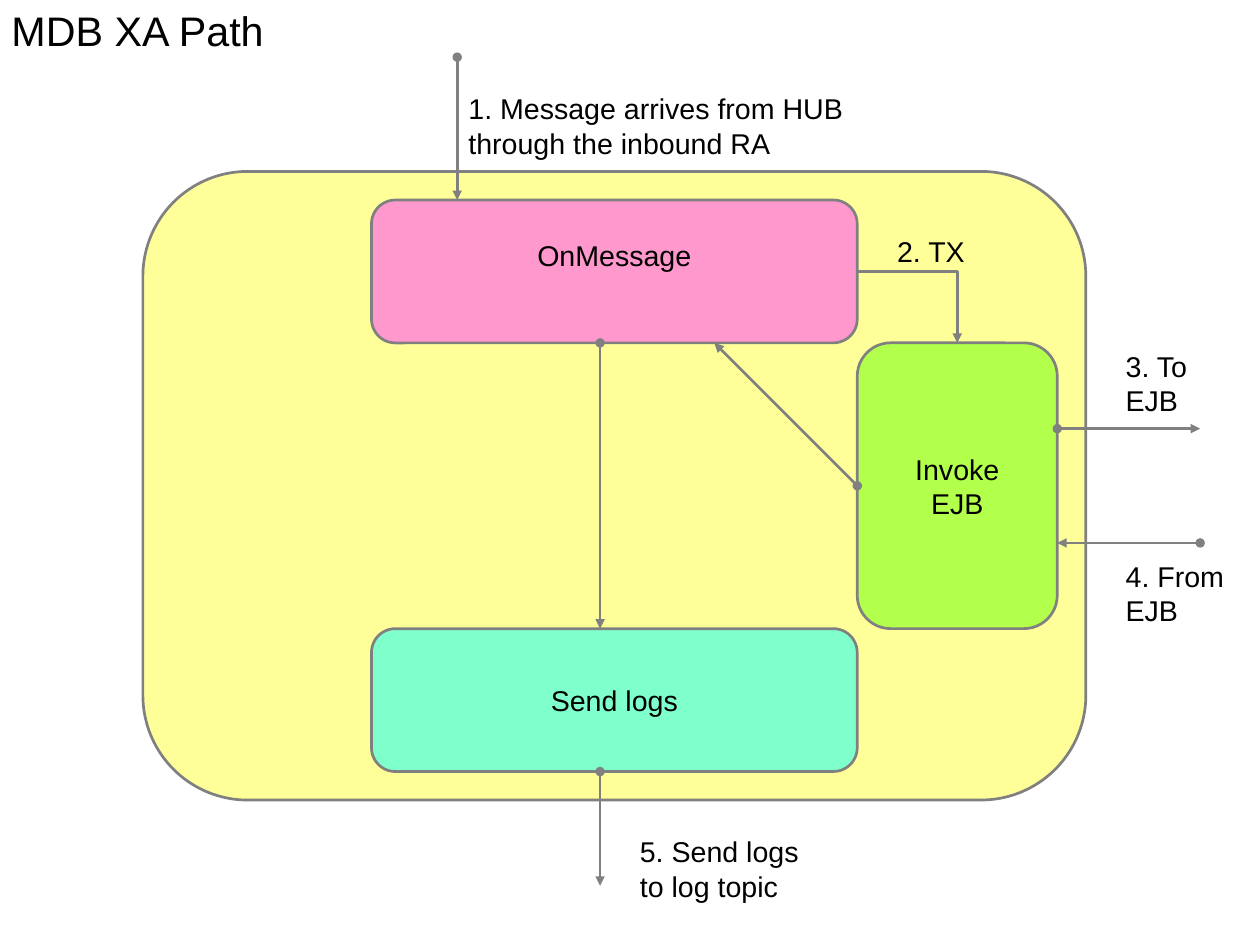
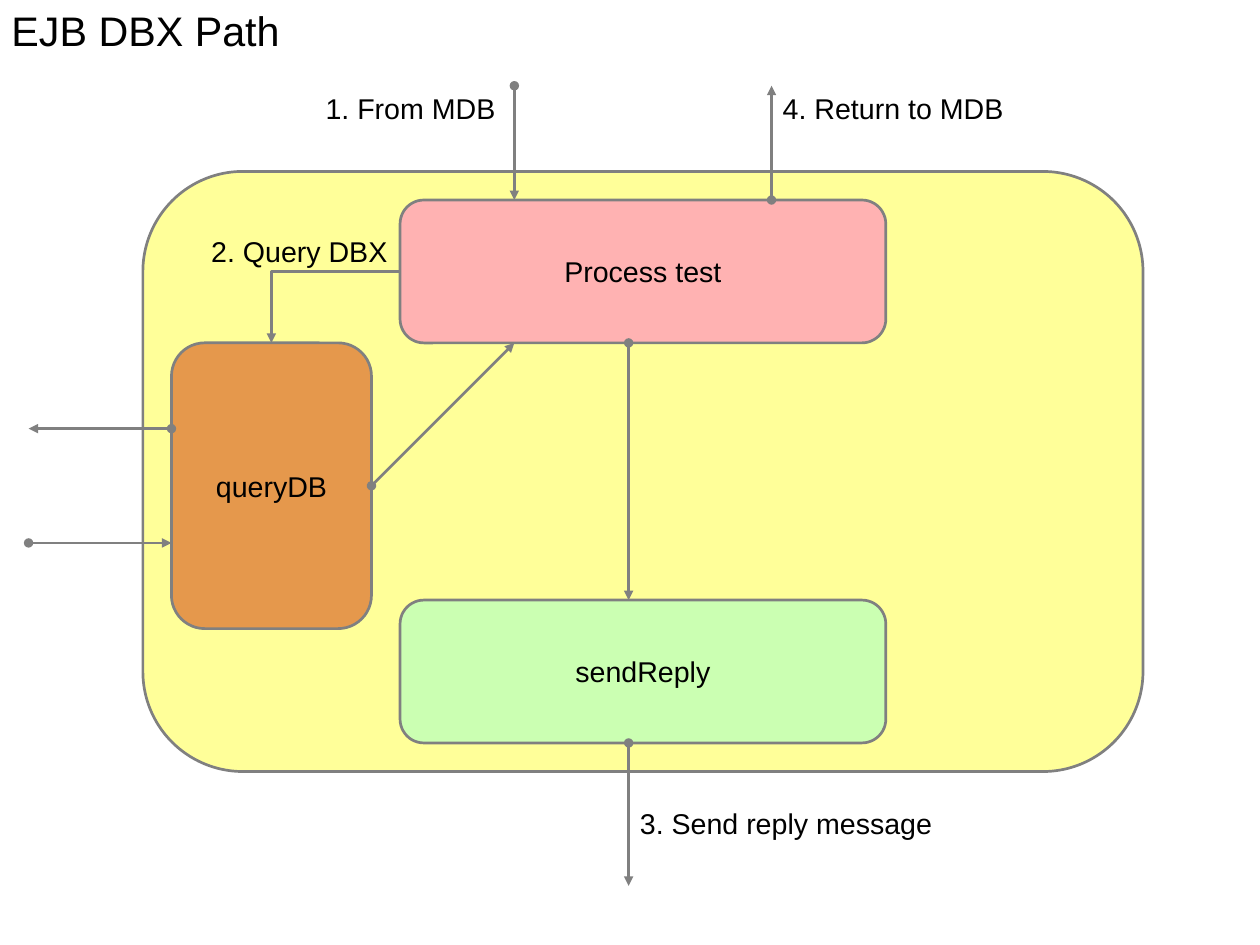
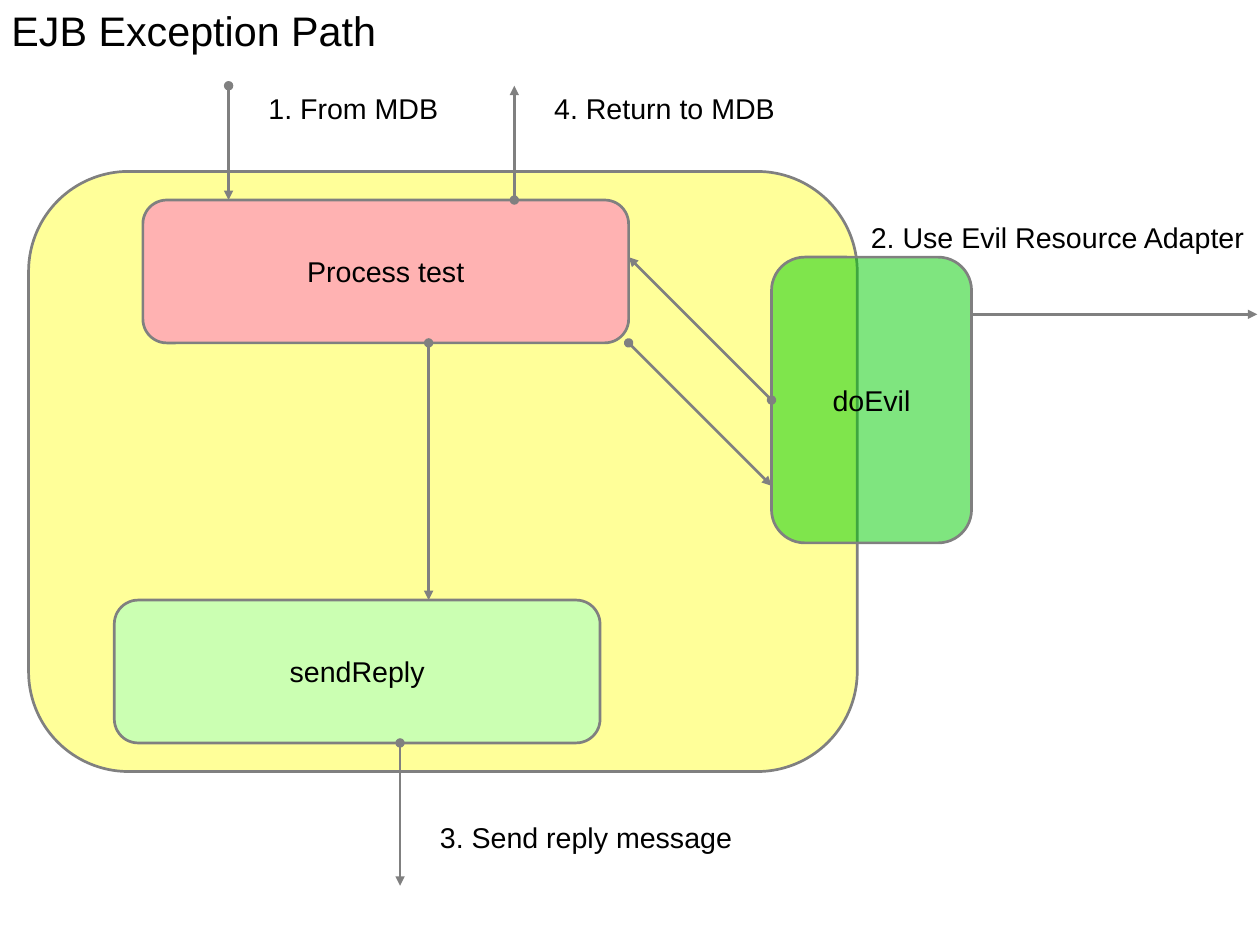
from lxml import etree
from pptx import Presentation
from pptx import util as u
from pptx.dml import color as c
from pptx.enum import shapes as s, text as t
from pptx.oxml import ns

Pt = u.Pt

# Shared look
FONT = "Arial"
BLACK, GREY, CREAM = "000000", "808080", "FFFF99"
PINK, LIME, AQUA = "FF33FF", "66FF00", "00FFFF"
ROSE, RUST, MINT, GREEN = "FF66CC", "CC3300", "99FFCC", "00CC00"
RULE = 1.7
WIDE, HIGH = 306, 90      # main step
SLIM, TALL = 126, 180     # side step
FRAME = dict(margin_left=Pt(7.2), margin_right=Pt(7.2), margin_top=Pt(3.6),
             margin_bottom=Pt(3.6), word_wrap=True)


def rgb(code):
    return c.RGBColor.from_string(code)


def put(obj, **vals):
    for key, val in vals.items():
        setattr(obj, key, val)


def write(frame, words, size, align, **extra):
    """Fill a text frame, one paragraph per line."""
    frame.text = words
    put(frame, **{**FRAME, **extra})
    for para in frame.paragraphs:
        para.alignment = align
        put(para.font, name=FONT, size=Pt(size), bold=False)
        para.font.color.rgb = rgb(BLACK)


def title(slide, words):
    head = slide.shapes.title
    put(head, left=Pt(0), top=Pt(0), width=Pt(252), height=Pt(36))
    write(head.text_frame, words, 26, t.PP_ALIGN.LEFT,
          vertical_anchor=t.MSO_ANCHOR.TOP, auto_size=t.MSO_AUTO_SIZE.NONE)


def box(slide, x, y, w, h, fill, words="", alpha=50, foot=3.6):
    """Rounded step with a see-through fill and centred words."""
    step = slide.shapes.add_shape(
        s.MSO_SHAPE.FLOWCHART_ALTERNATE_PROCESS, Pt(x), Pt(y), Pt(w), Pt(h))
    step.shadow.inherit = False
    step.fill.solid()
    step.fill.fore_color.rgb = rgb(fill)
    if alpha < 100:
        tint = next(step._element.spPr.iter(ns.qn("a:srgbClr")))
        etree.SubElement(tint, ns.qn("a:alpha"), val=str(alpha * 1000))
    step.line.color.rgb = rgb(GREY)
    step.line.width = Pt(RULE)
    if words:
        write(step.text_frame, words, 18, t.PP_ALIGN.CENTER,
              vertical_anchor=t.MSO_ANCHOR.MIDDLE, margin_bottom=Pt(foot))
    return step


def label(slide, x, y, w, words):
    lines = words.count("\n") + 1
    note = slide.shapes.add_textbox(Pt(x), Pt(y), Pt(w), Pt(7 + 20.3 * lines))
    write(note.text_frame, words, 18, t.PP_ALIGN.LEFT,
          auto_size=t.MSO_AUTO_SIZE.SHAPE_TO_FIT_TEXT)


def sides(step):
    """Middles of the sides: top, left, bottom, right."""
    x, y, w, h = step.left, step.top, step.width, step.height
    return [(x + w // 2, y), (x, y + h // 2),
            (x + w // 2, y + h), (x + w, y + h // 2)]


def arrow(slide, steps, x1, y1, x2, y2, head="oval", bent=False):
    """Arrow, joined to any step whose side middle it meets."""
    kind = s.MSO_CONNECTOR.ELBOW if bent else s.MSO_CONNECTOR.STRAIGHT
    ends = [Pt(v) for v in (x1, y1, x2, y2)]
    link = slide.shapes.add_connector(kind, *ends)
    props = link._element.spPr
    if bent:
        props.find(ns.qn("a:prstGeom")).set("prst", "bentConnector2")
    link.line.color.rgb = rgb(GREY)
    link.line.width = Pt(RULE)
    stroke = props.find(ns.qn("a:ln"))
    for tag, shape in (("a:headEnd", head), ("a:tailEnd", "triangle")):
        etree.SubElement(stroke, ns.qn(tag), type=shape)
    etree.SubElement(props, ns.qn("a:effectLst"))
    joins = ((tuple(ends[:2]), link.begin_connect),
             (tuple(ends[2:]), link.end_connect))
    for spot, join in joins:
        for step in steps:
            if spot in sides(step):
                join(step, sides(step).index(spot))


def draw(deck, name, panel, boxes, links, turns, notes):
    """One path slide: panel, steps, arrows and labels."""
    slide = deck.slides.add_slide(deck.slide_layouts[5])
    title(slide, name)
    box(slide, *panel, CREAM, alpha=100)
    steps = [box(slide, *item) for item in boxes]
    for ends in links:
        arrow(slide, steps, *ends)
    for ends in turns:
        arrow(slide, steps, *ends, head="none", bent=True)
    for note in notes:
        label(slide, *note)


def main():
    deck = Presentation()
    deck.slide_width = Pt(793.7)
    deck.slide_height = Pt(595.28)

    # Message bean
    draw(deck, "MDB XA Path", (90, 108, 594, 396),
         boxes=[(234, 126, WIDE, HIGH, PINK, "OnMessage", 50, 24.3),
                (540, 216, SLIM, TALL, LIME, "Invoke\nEJB"),
                (234, 396, WIDE, HIGH, AQUA, "Send logs")],
         links=[(288, 36, 288, 126), (378, 216, 378, 396),
                (540, 306, 450, 216), (378, 486, 378, 558),
                (666, 270, 756, 270), (756, 342, 666, 342)],
         turns=[(540, 171, 603, 216)],
         notes=[(288, 54, 252,
                 "1. Message arrives from HUB\nthrough the inbound RA"),
                (558, 144, 90, "2. TX"),
                (702, 216, 72, "3. To EJB"),
                (702, 348.5, 90, "4. From\nEJB"),
                (396, 522, 216, "5. Send logs\nto log topic")])

    # Database query
    draw(deck, "EJB DBX Path", (90, 108, 630, 378),
         boxes=[(252, 126, WIDE, HIGH, ROSE, "Process test"),
                (108, 216, SLIM, TALL, RUST, "queryDB"),
                (252, 378, WIDE, HIGH, MINT, "sendReply")],
         links=[(396, 216, 396, 378), (234, 306, 324, 216),
                (486, 126, 486, 54), (324, 54, 324, 126),
                (396, 468, 396, 558), (108, 270, 18, 270),
                (18, 342, 108, 342)],
         turns=[(252, 171, 171, 216)],
         notes=[(198, 54, 126, "1. From MDB"),
                (126, 144, 180, "2. Query DBX"),
                (396, 504, 234, "3. Send reply message"),
                (486, 54, 180, "4. Return to MDB")])

    # Exception
    draw(deck, "EJB Exception Path", (18, 108, 522, 378),
         boxes=[(90, 126, WIDE, HIGH, ROSE, "Process test"),
                (486, 162, SLIM, TALL, GREEN, "doEvil"),
                (72, 378, WIDE, HIGH, MINT, "sendReply")],
         links=[(270, 216, 270, 378), (486, 252, 396, 162),
                (324, 126, 324, 54), (144, 54, 144, 126),
                (252, 468, 252, 558), (612, 198, 792, 198, "none"),
                (396, 216, 486, 306)],
         turns=[],
         notes=[(162, 54, 126, "1. From MDB"),
                (541.5, 135, 252, "2. Use Evil Resource Adapter"),
                (270, 513, 234, "3. Send reply message"),
                (342, 54, 180, "4. Return to MDB")])

    deck.save("out.pptx")


if __name__ == "__main__":
    main()
